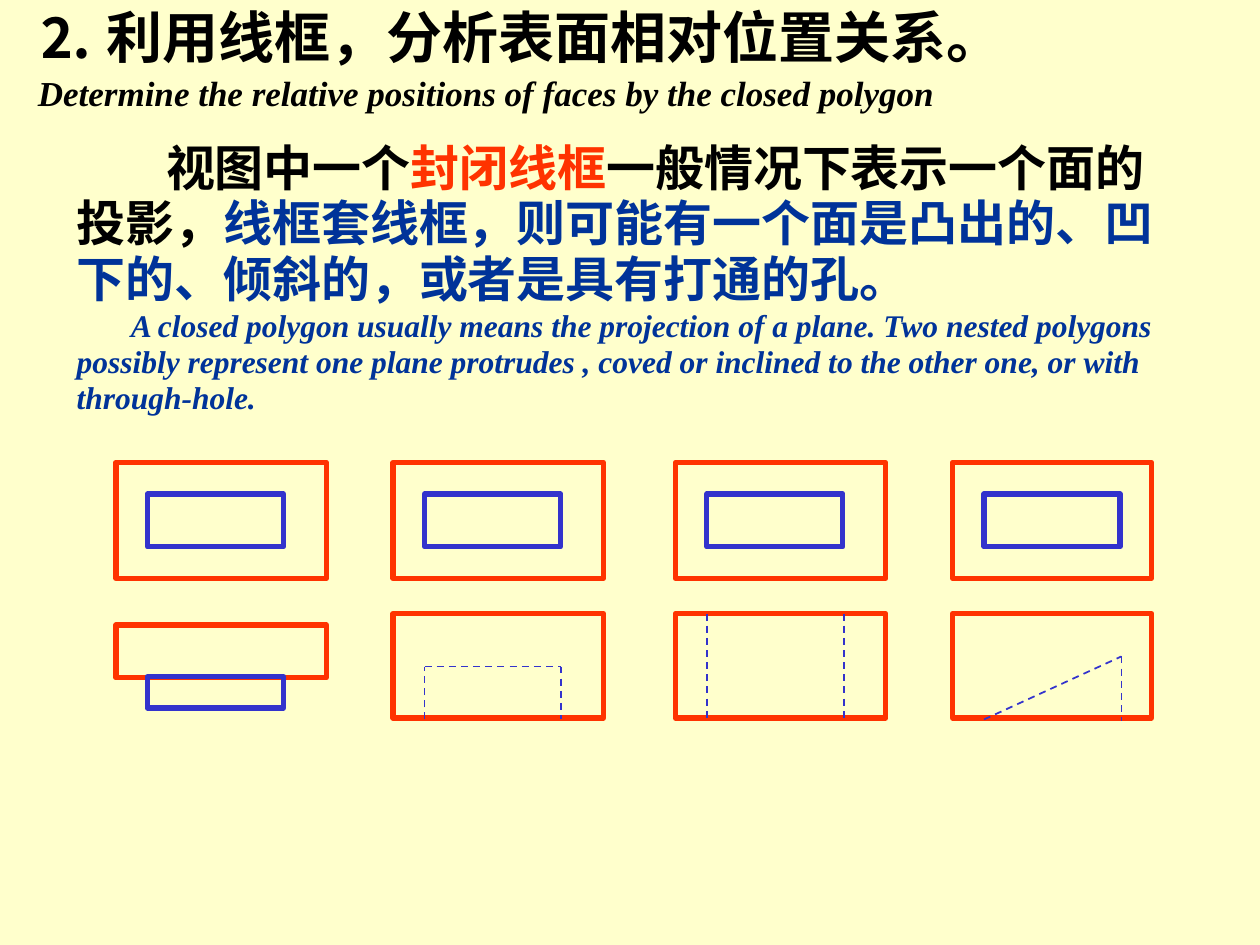
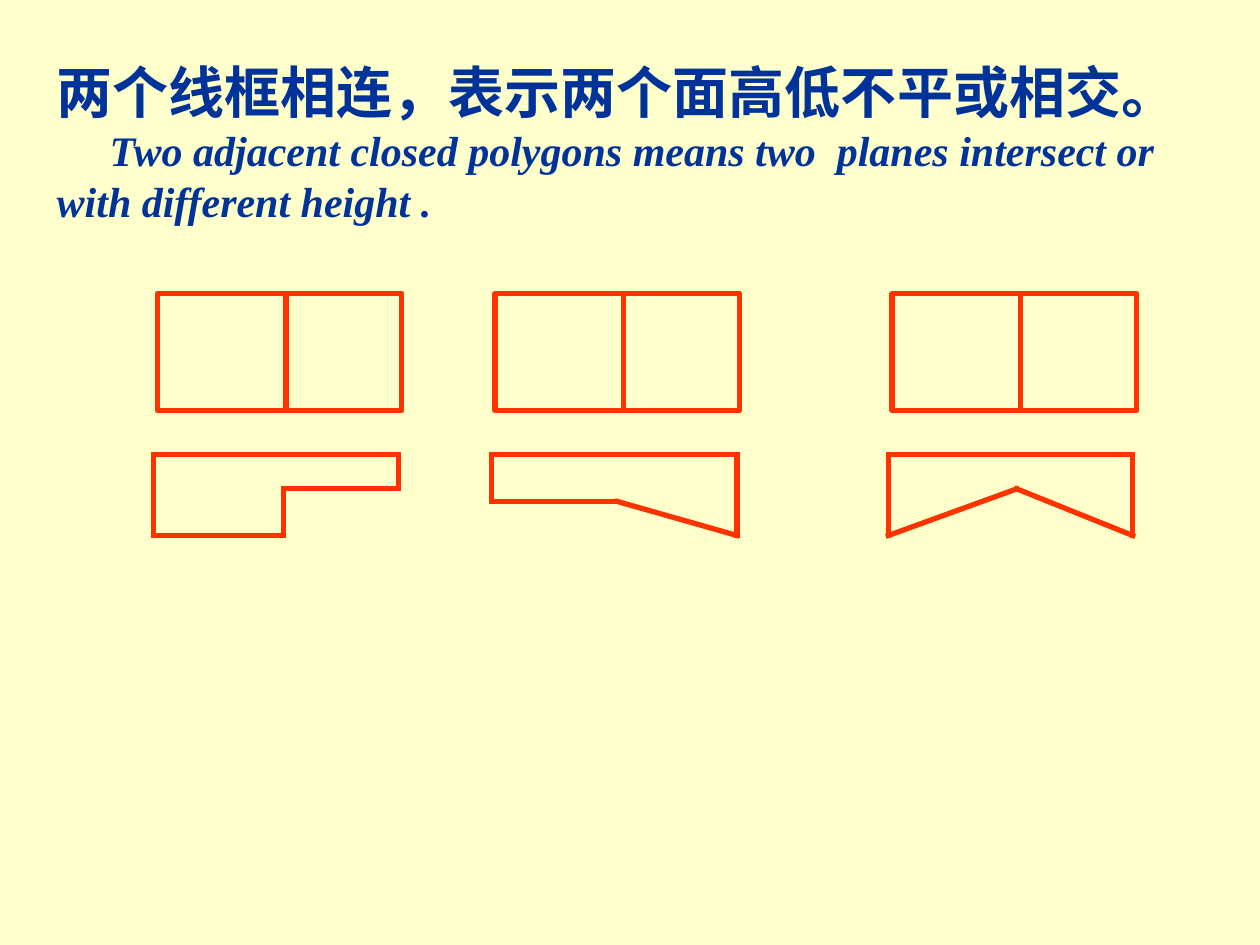
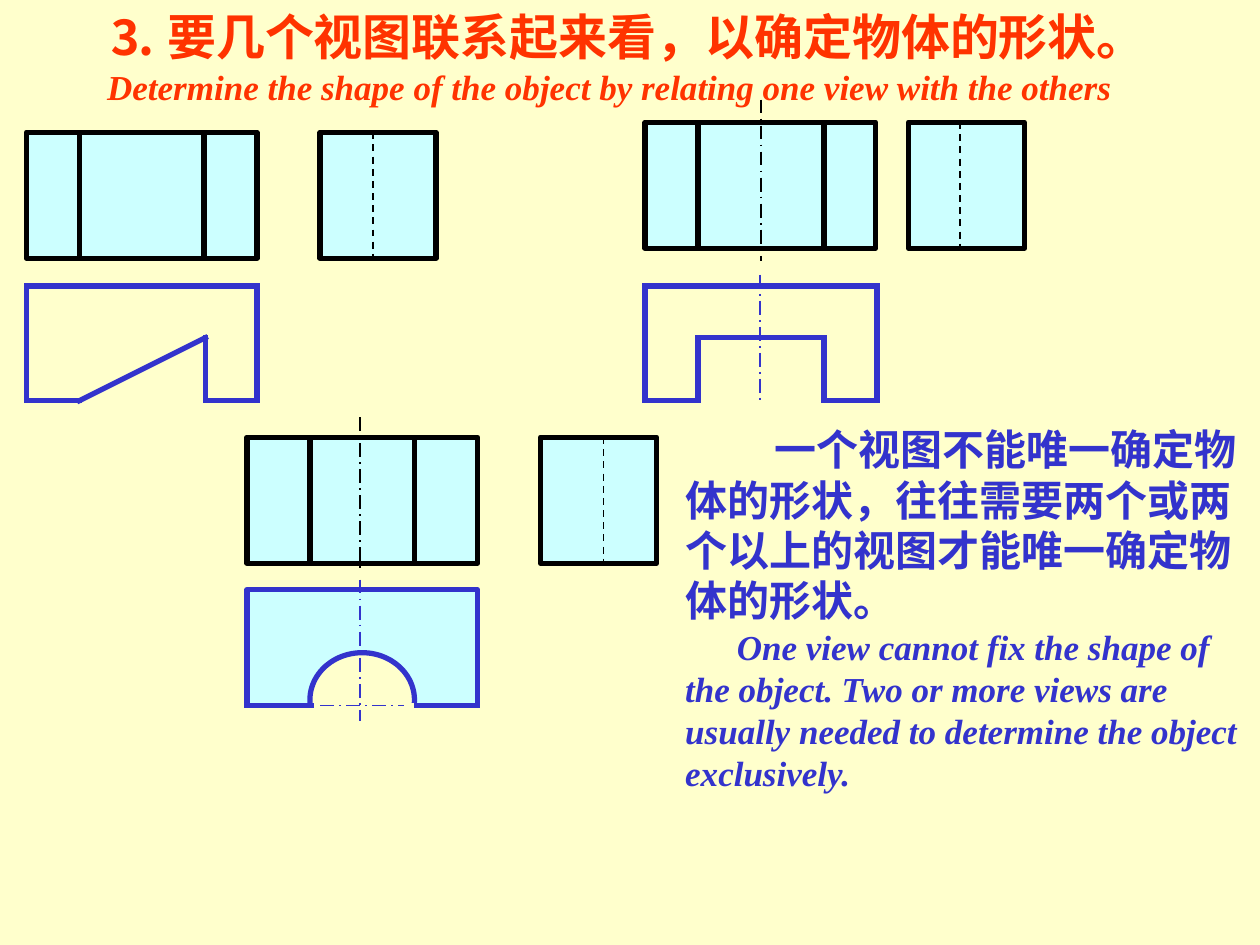
from lxml import etree
from pptx import Presentation
from pptx.dml.color import RGBColor
from pptx.enum.dml import MSO_LINE
from pptx.enum.shapes import MSO_CONNECTOR, MSO_SHAPE
from pptx.enum.text import MSO_ANCHOR, MSO_AUTO_SIZE, PP_ALIGN
from pptx.oxml.ns import qn
from pptx.util import Inches, Pt

FONT = "Times New Roman"
CREAM, CYAN, BLACK = "FFFFCC", "CCFFFF", "000000"
RED, BLUE, NAVY = "FF3300", "3333CC", "003399"
DASH, CENTRE = MSO_LINE.DASH, MSO_LINE.LONG_DASH_DOT

# A paragraph holds runs of (text, colour) and its size; indent is in inches.
NESTED_TITLE = [
    dict(runs=[("⒉ 利用线框，分析表面相对位置关系。", BLACK)], size=32, spacing=0.75),
    dict(runs=[("Determine the relative positions of faces by the closed polygon", BLACK)],
         size=20, italic=True, spacing=0.75, before=7),
]
NESTED_BODY = [
    dict(runs=[("视图中一个", BLACK), ("封闭线框", RED),
               ("一般情况下表示一个面的投影，", BLACK),
               ("线框套线框，则可能有一个面是凸出的、凹下的、倾斜的，或者是具有打通的孔。", NAVY)],
         size=28, indent=0.71, spacing=0.95),
    dict(runs=[("A closed polygon usually means the projection of a plane. Two nested polygons "
                "possibly represent one plane protrudes , coved or inclined to the other one, "
                "or with through-hole.", NAVY)],
         size=18, italic=True, indent=0.43, spacing=0.95),
]
ADJACENT_TITLE = [
    dict(runs=[("两个线框相连，表示两个面高低不平或相交。", NAVY)], size=32),
    dict(runs=[("Two adjacent closed polygons means two  planes intersect or "
                "with different height .", NAVY)], size=24, italic=True, indent=0.42),
]
VIEWS_TITLE = [
    dict(runs=[("⒊ 要几个视图联系起来看，以确定物体的形状。", RED)], size=28),
    dict(runs=[("Determine the shape of the object by relating one view with the others", RED)],
         size=20, italic=True),
]
VIEWS_BODY = [
    dict(runs=[("一个视图不能唯一确定物体的形状，往往需要两个或两个以上的视图才能唯一确定物体的形状。",
                BLUE)], size=24, indent=0.71),
    dict(runs=[("One view cannot fix the shape of the object. Two or more views are "
                "usually needed to determine the object exclusively.", BLUE)],
         size=20, italic=True, indent=0.41),
]

# Left edge and width of each outer frame
NESTED_FRAMES = [(0.92, 1.67), (3.12, 1.67), (5.36, 1.67), (7.56, 1.58)]
# Hidden edges, measured from the left edge of the frame
HIDDEN_EDGES = {
    3.12: [[(0.25, 5.71), (0.25, 5.29), (1.33, 5.29), (1.33, 5.71)]],
    5.36: [[(0.25, 4.87), (0.25, 5.71)], [(1.34, 4.87), (1.34, 5.71)]],
    7.56: [[(0.25, 5.71), (1.34, 5.21), (1.34, 5.72)]],
}
# Left edge of each divided frame, and the outline below measured from it
ADJACENT_OUTLINES = {
    1.25: [(-0.03, 3.61), (1.91, 3.61), (1.91, 3.88), (1.0, 3.88), (1.0, 4.25), (-0.03, 4.25)],
    3.93: [(-0.03, 3.61), (1.92, 3.61), (1.92, 4.25), (0.97, 3.98), (-0.03, 3.98)],
    7.08: [(-0.03, 3.61), (1.91, 3.61), (1.91, 4.25), (0.99, 3.88), (-0.03, 4.25)],
}
# Front view corner, side view left, and offsets of inner and hidden edges
UPPER_VIEWS = [
    dict(left=0.21, top=1.05, side=2.54, edges=(0.42, 1.41), hidden=0.42),
    dict(left=5.12, top=0.97, side=7.21, edges=(0.42, 1.42), hidden=0.41),
    dict(left=1.96, top=3.47, side=4.29, edges=(0.5, 1.33), hidden=0.5),
]
WEDGE = [(0.21, 2.27), (2.04, 2.27), (2.04, 3.18), (1.63, 3.18), (1.63, 2.68),
         (0.63, 3.18), (0.21, 3.18)]
SLOT = [(5.12, 2.27), (6.96, 2.27), (6.96, 3.18), (6.54, 3.18), (6.54, 2.68),
        (5.54, 2.68), (5.54, 3.18), (5.12, 3.18)]
CENTRE_LINES = [
    ((2.86, 3.31), (2.86, 4.53), BLACK),
    ((6.04, 0.79), (6.04, 2.07), BLACK),
    ((2.54, 5.6), (3.21, 5.6), BLUE),
    ((2.86, 4.6), (2.86, 5.72), BLUE),
    ((6.03, 2.18), (6.03, 3.2), BLUE),
]


def rgb(colour):
    return RGBColor.from_string(colour)


def write(box, paragraphs):
    frame = box.text_frame
    frame.word_wrap = True
    frame.auto_size = MSO_AUTO_SIZE.NONE
    frame.vertical_anchor = MSO_ANCHOR.MIDDLE
    for number, content in enumerate(paragraphs):
        paragraph = frame.add_paragraph() if number else frame.paragraphs[0]
        paragraph.alignment = PP_ALIGN.LEFT
        paragraph.line_spacing = content.get("spacing", 1.0)
        paragraph.space_before = Pt(content.get("before", 0))
        properties = paragraph._p.get_or_add_pPr()
        properties.set("marL", "0")
        properties.set("indent", str(Inches(content.get("indent", 0))))
        for text, colour in content["runs"]:
            run = paragraph.add_run()
            run.text = text
            run.font.name = FONT
            run.font.size = Pt(content["size"])
            run.font.bold = True
            run.font.italic = content.get("italic", False)
            run.font.color.rgb = rgb(colour)


def add_slide(prs, title, left, top, width, height):
    slide = prs.slides.add_slide(prs.slide_layouts[5])
    heading = slide.shapes.title
    heading.left, heading.top = Inches(left), Inches(top)
    heading.width, heading.height = Inches(width), Inches(height)
    write(heading, title)
    return slide


def add_text(slide, paragraphs, *place):
    write(slide.shapes.add_textbox(*map(Inches, place)), paragraphs)


def add_figure(slide, place, colour, fill=None, kind=MSO_SHAPE.RECTANGLE):
    figure = slide.shapes.add_shape(kind, *map(Inches, place))
    figure.shadow.inherit = False
    if fill:
        figure.fill.solid()
        figure.fill.fore_color.rgb = rgb(fill)
    else:
        figure.fill.background()
    figure.line.color.rgb = rgb(colour)
    figure.line.width = Pt(3)


def add_path(slide, points, colour, dash=None):
    """Join consecutive points; a dashed path is thin, a solid one thick."""
    for start, end in zip(points, points[1:]):
        edge = slide.shapes.add_connector(MSO_CONNECTOR.STRAIGHT, *map(Inches, start + end))
        edge.line.color.rgb = rgb(colour)
        edge.line.width = Pt(1 if dash else 3)
        if dash:
            edge.line.dash_style = dash
        else:
            edge.line._get_or_add_ln().set("cap", "sq")
        etree.SubElement(edge._element.spPr, qn("a:effectLst"))


def shifted(points, left):
    return [(left + x, y) for x, y in points]


def build_nested(prs):
    slide = add_slide(prs, NESTED_TITLE, 0.2, 0.07, 8.58, 0.9)
    for left, width in NESTED_FRAMES:
        add_figure(slide, (left, 3.67, width, 0.92), RED)
        add_figure(slide, (left + 0.25, 3.92, 1.08, 0.42), BLUE)
        if left in HIDDEN_EDGES:
            add_figure(slide, (left, 4.87, width, 0.83), RED)
            for edges in HIDDEN_EDGES[left]:
                add_path(slide, shifted(edges, left), BLUE, DASH)
        else:
            add_figure(slide, (left, 4.96, width, 0.42), RED)
            add_figure(slide, (left + 0.25, 5.37, 1.08, 0.25), BLUE)
    add_text(slide, NESTED_BODY, 0.51, 1.07, 8.8, 2.29)


def build_adjacent(prs):
    slide = add_slide(prs, ADJACENT_TITLE, 0.35, 0.41, 9.13, 1.43)
    for left, outline in ADJACENT_OUTLINES.items():
        add_figure(slide, (left, 2.33, 1.94, 0.93), RED)
        add_path(slide, shifted([(1.02, 2.33), (1.02, 3.26)], left), RED)
        add_path(slide, shifted(outline + outline[:1], left), RED)


def build_views(prs):
    slide = add_slide(prs, VIEWS_TITLE, 0.75, 0, 9.25, 0.9)
    for view in UPPER_VIEWS:
        left, top, side = view["left"], view["top"], view["side"]
        add_figure(slide, (left, top, 1.83, 1), BLACK, CYAN)
        add_figure(slide, (side, top, 0.92, 1), BLACK, CYAN)
        for offset in view["edges"]:
            add_path(slide, shifted([(offset, top), (offset, top + 1)], left), BLACK)
        hidden = side + view["hidden"]
        add_path(slide, [(hidden, top), (hidden, top + 1)], BLACK, DASH)
    for outline in (WEDGE, SLOT):
        add_path(slide, outline + outline[:1], BLUE)

    add_figure(slide, (1.96, 4.68, 1.83, 0.92), BLUE, CYAN)
    add_figure(slide, (2.46, 5.18, 0.83, 0.75), BLUE, CREAM, MSO_SHAPE.OVAL)
    add_figure(slide, (2.46, 5.6, 0.92, 0.42), CREAM, CREAM)
    for start, end in ((1.96, 2.47), (3.31, 3.79)):
        add_path(slide, [(start, 5.6), (end, 5.6)], BLUE)

    for start, end, colour in CENTRE_LINES:
        add_path(slide, [start, end], colour, CENTRE)
    add_text(slide, VIEWS_BODY, 5.34, 3.28, 4.66, 3.1)


def main():
    prs = Presentation()
    prs.slide_width, prs.slide_height = Inches(10), Inches(7.5)
    background = prs.slide_master.background.fill
    background.solid()
    background.fore_color.rgb = rgb(CREAM)
    build_nested(prs)
    build_adjacent(prs)
    build_views(prs)
    prs.save("out.pptx")


if __name__ == "__main__":
    main()
